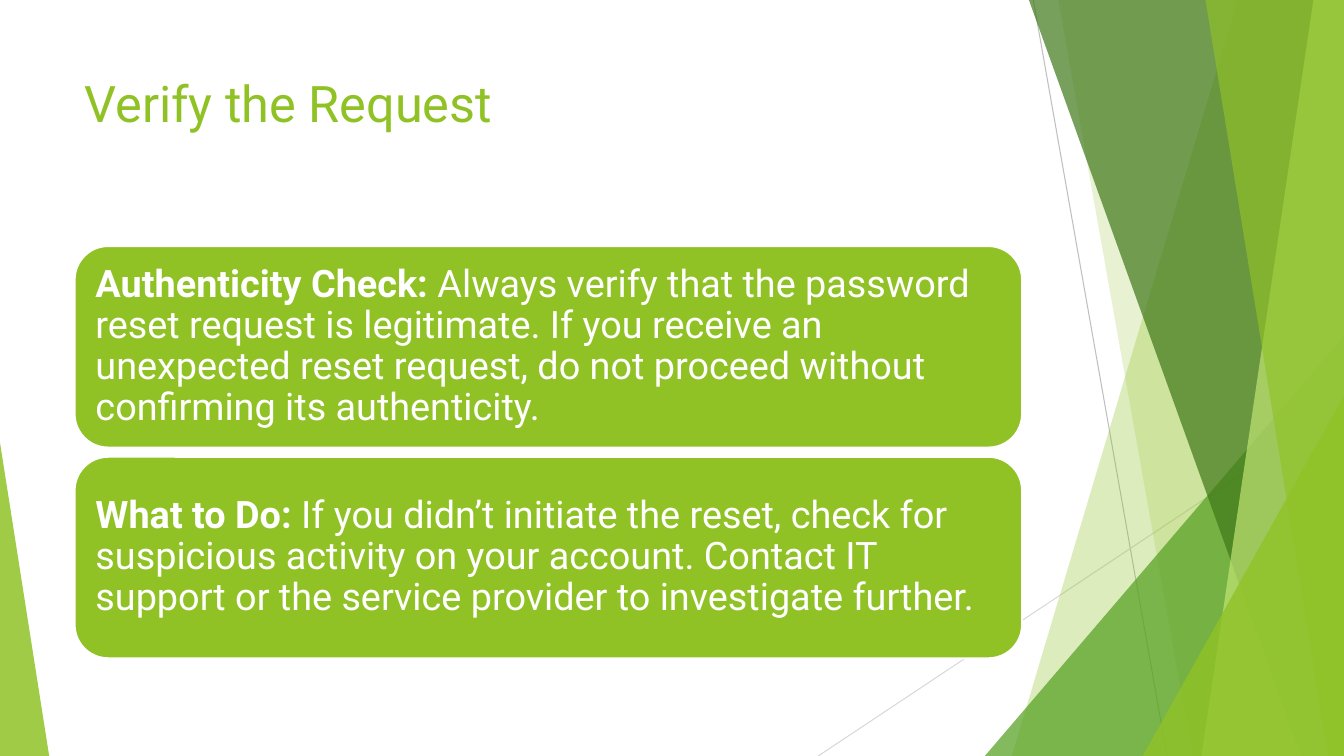
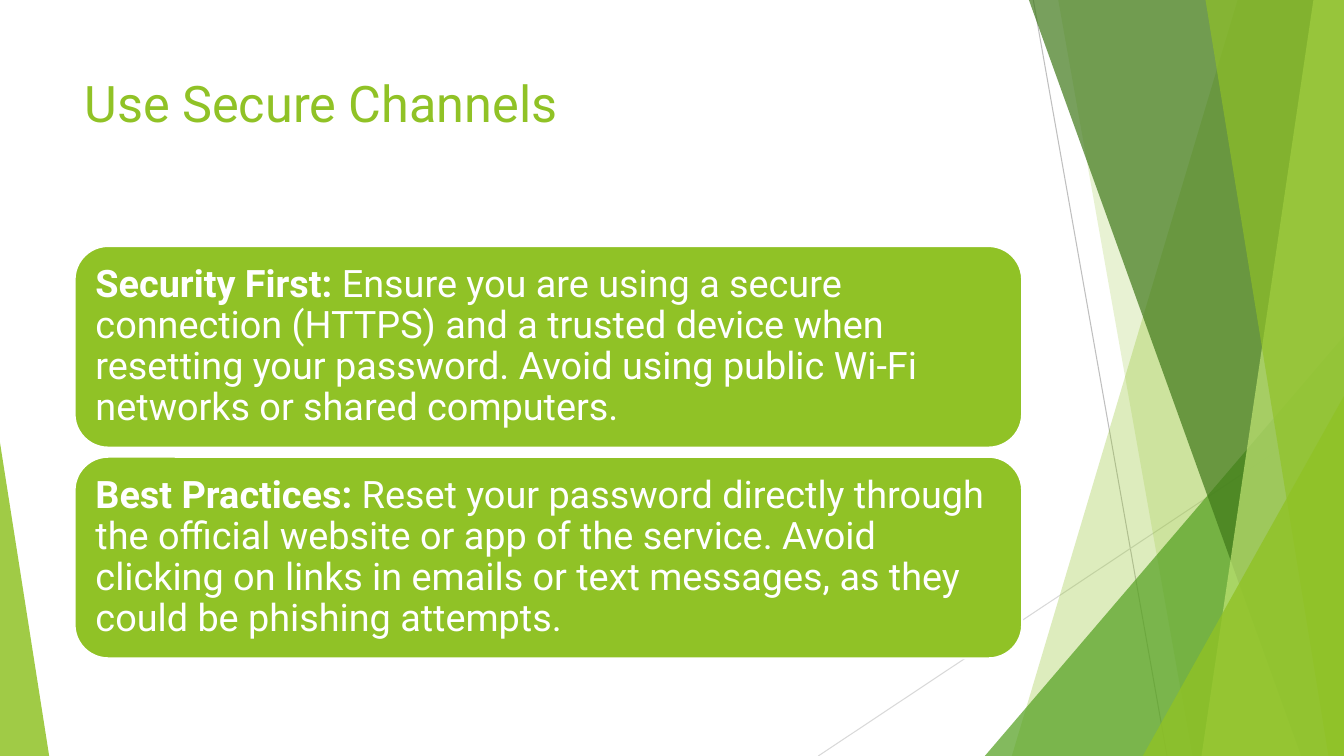
from lxml.etree import SubElement
from pptx import Presentation
from pptx.dml.color import RGBColor
from pptx.enum.shapes import MSO_CONNECTOR, MSO_SHAPE
from pptx.enum.text import MSO_ANCHOR, PP_ALIGN
from pptx.oxml.ns import qn
from pptx.util import Cm, Pt

LIME = RGBColor(0x90, 0xC2, 0x26)
PALE_LIME = RGBColor(0xC0, 0xE4, 0x74)
GREEN = RGBColor(0x54, 0xA0, 0x21)
DARK_GREEN = RGBColor(0x3F, 0x78, 0x19)
GRAY = RGBColor(0xBF, 0xBF, 0xBF)
LIGHT_GRAY = RGBColor(0xD9, 0xD9, 0xD9)
WHITE = RGBColor(0xFF, 0xFF, 0xFF)
FONT = "Roboto"

WIDTH, HEIGHT = 33.87, 19.05
LEFT, CONTENT_WIDTH = 1.88, 23.88
CARD_TOP, CARD_HEIGHT, CARD_GAP = 6.2, 5.08, 0.23

HAIRLINES = [
    (26.04, 0, 29.41, HEIGHT, GRAY),
    (WIDTH, 10.24, 20.62, HEIGHT, LIGHT_GRAY),
]

# kind-specific numbers: band top x and bottom x; triangle left, width, height and apex
FACETS = [
    ("band", (31.19, 25.5), LIME, 30),
    ("band", (26.67, 30.05), LIME, 20),
    ("triangle", (24.82, 9.05, 10.58, 1), GREEN, 72),
    ("band", (25.93, 32.79), DARK_GREEN, 70),
    ("band", (33.1, 30.28), PALE_LIME, 70),
    ("band", (30.38, 33.48), LIME, 65),
    ("triangle", (28.8, 5.07, 9.07, 1), LIME, 80),
    ("triangle", (0, 1.24, 7.9, 0), LIME, 85),
]

SLIDES = [
    ("Verify the Request", [
        ("Authenticity Check:",
         " Always verify that the password reset request is legitimate. If you receive "
         "an unexpected reset request, do not proceed without confirming its authenticity."),
        ("What to Do:",
         " If you didn’t initiate the reset, check for suspicious activity on your account. "
         "Contact IT support or the service provider to investigate further."),
    ]),
    ("Use Secure Channels", [
        ("Security First:",
         " Ensure you are using a secure connection (HTTPS) and a trusted device when "
         "resetting your password. Avoid using public Wi-Fi networks or shared computers."),
        ("Best Practices:",
         " Reset your password directly through the official website or app of the service. "
         "Avoid clicking on links in emails or text messages, as they could be phishing attempts."),
    ]),
]


def add_span(para, text, size, color, bold=False):
    span = para.add_run()
    span.text = text
    span.font.name = FONT
    span.font.size = Pt(size)
    span.font.bold = bold
    span.font.color.rgb = color


def add_backdrop(page):
    for x1, y1, x2, y2, color in HAIRLINES:
        hairline = page.shapes.add_connector(
            MSO_CONNECTOR.STRAIGHT, Cm(x1), Cm(y1), Cm(x2), Cm(y2))
        hairline.line.color.rgb = color
        hairline.line.width = Pt(0.75)
        SubElement(hairline.element.spPr, qn("a:effectLst"))
    for kind, numbers, color, opacity in FACETS:
        if kind == "band":
            top_x, bottom_x = numbers
            outline = page.shapes.build_freeform(Cm(top_x), 0)
            outline.add_line_segments([
                (Cm(WIDTH), 0), (Cm(WIDTH), Cm(HEIGHT)), (Cm(bottom_x), Cm(HEIGHT))])
            facet = outline.convert_to_shape()
        else:
            left, width, height, apex = numbers
            facet = page.shapes.add_shape(
                MSO_SHAPE.ISOSCELES_TRIANGLE,
                Cm(left), Cm(HEIGHT - height), Cm(width), Cm(height))
            facet.adjustments[0] = apex
        facet.shadow.inherit = False
        facet.fill.solid()
        facet.fill.fore_color.rgb = color
        facet.line.fill.background()
        tint = facet.element.spPr.find(qn("a:solidFill")).find(qn("a:srgbClr"))
        SubElement(tint, qn("a:alpha"), val=str(opacity * 1000))


deck = Presentation()
deck.slide_width = Cm(WIDTH)
deck.slide_height = Cm(HEIGHT)

for title, cards in SLIDES:
    page = deck.slides.add_slide(deck.slide_layouts[6])
    add_backdrop(page)

    title_box = page.shapes.add_textbox(Cm(LEFT), Cm(1.7), Cm(CONTENT_WIDTH), Cm(3.66))
    title_box.text_frame.word_wrap = True
    add_span(title_box.text_frame.paragraphs[0], title, 36, LIME)

    for row, (label, advice) in enumerate(cards):
        card = page.shapes.add_shape(
            MSO_SHAPE.ROUNDED_RECTANGLE,
            Cm(LEFT), Cm(CARD_TOP + row * (CARD_HEIGHT + CARD_GAP)),
            Cm(CONTENT_WIDTH), Cm(CARD_HEIGHT))
        card.shadow.inherit = False
        card.fill.solid()
        card.fill.fore_color.rgb = LIME
        card.line.color.rgb = WHITE
        card.line.width = Pt(1.5)
        frame = card.text_frame
        frame.word_wrap = True
        frame.vertical_anchor = MSO_ANCHOR.MIDDLE
        frame.margin_left = frame.margin_right = Cm(0.28)
        frame.margin_top = frame.margin_bottom = Cm(0.28)
        para = frame.paragraphs[0]
        para.alignment = PP_ALIGN.LEFT
        para.line_spacing = 0.9
        add_span(para, label, 27, WHITE, bold=True)
        add_span(para, advice, 27, WHITE)

deck.save("out.pptx")
